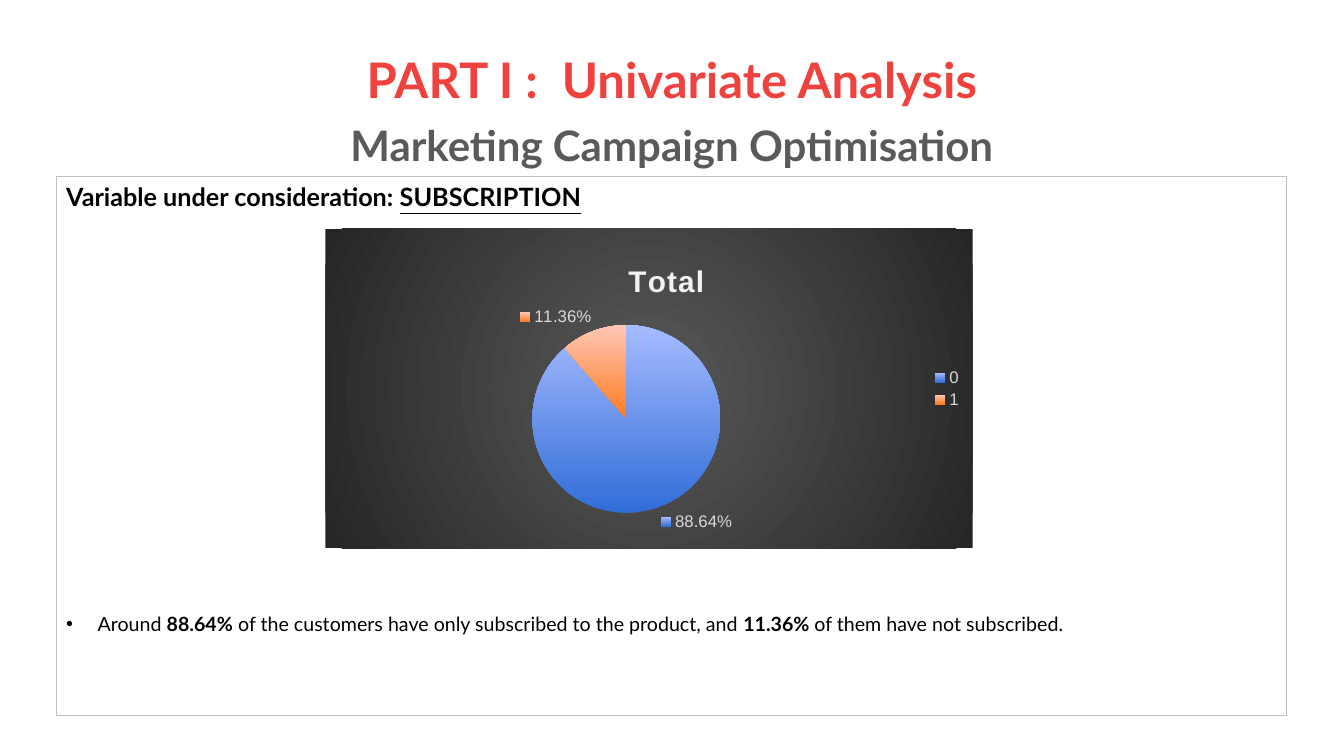
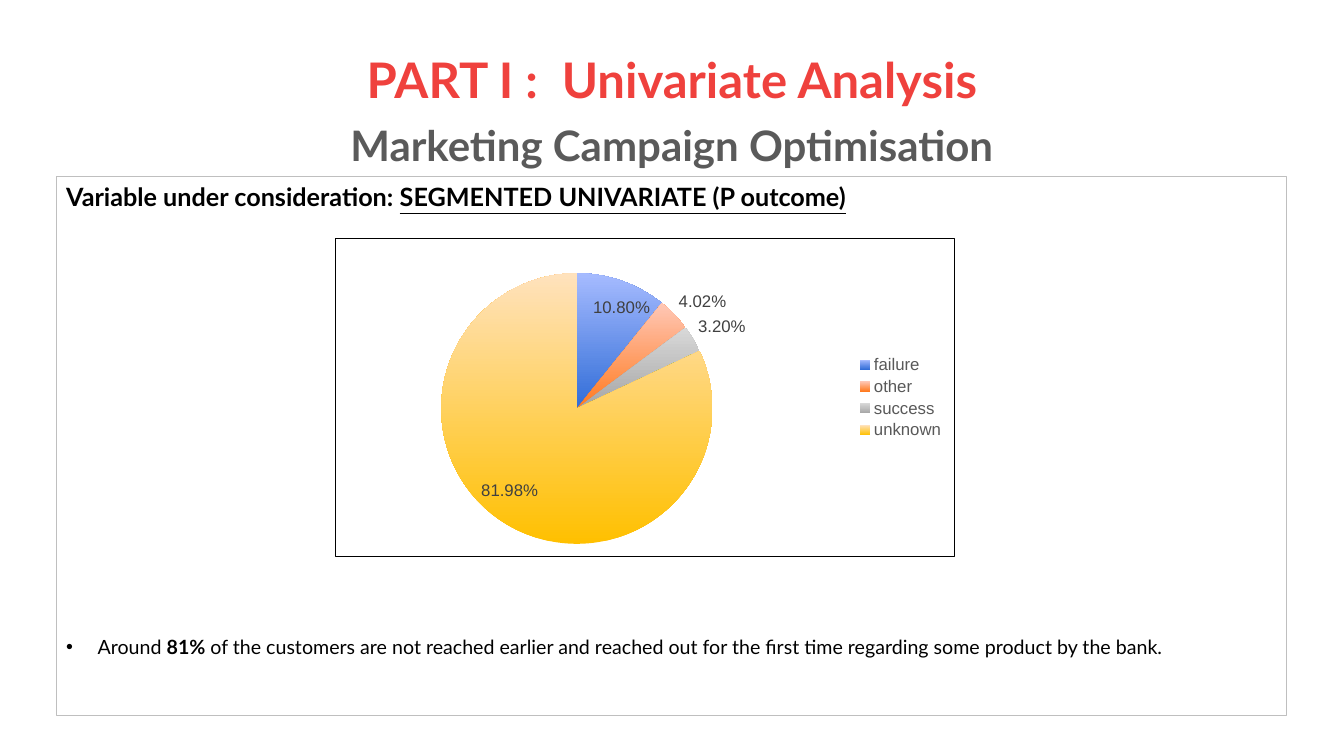
from lxml import etree
from pptx import Presentation
from pptx.chart.data import CategoryChartData
from pptx.dml.color import RGBColor
from pptx.enum.chart import XL_CHART_TYPE as ChartType
from pptx.enum.chart import XL_LABEL_POSITION as LabelPos
from pptx.enum.chart import XL_LEGEND_POSITION as LegendPos
from pptx.enum.shapes import MSO_SHAPE as Preset
from pptx.enum.text import MSO_ANCHOR as Anchor
from pptx.enum.text import MSO_AUTO_SIZE as AutoSize
from pptx.enum.text import PP_ALIGN as Align
from pptx.oxml import parse_xml
from pptx.oxml.ns import nsdecls, qn
from pptx.util import Cm, Pt

TEXT_FONT, CHART_FONT = "Lato", "Arial"
BLACK, PANEL_LINE = "000000", "BFBFBF"
TITLE_BOX = [Cm(v) for v in (2.33, 1.02, 29.21, 3.68)]
PANEL_BOX = [Cm(v) for v in (1.42, 4.45, 31.01, 13.59)]
TITLE_LINES = [  # text, size, colour, space before
    ("PART I :  Univariate Analysis", 35, "EF413D", 0),
    ("Marketing Campaign Optimisation", 30, "5A5A5A", 11),
]
HEADING = "Variable under consideration: "
BULLET_INDENT = Cm(0.79)
SLICE_GRADIENTS = [("316DD7", "A6BBFF"), ("FF7A1F", "FFC7B6"),
                   ("A5A5A5", "D8D8D8"), ("FFC000", "FFE2BD")]

SLIDES = [
    {
        "variable": "SUBSCRIPTION",
        "finding": [  # text, bold
            ("Around ", False), ("88.64%", True),
            (" of the customers have only subscribed to the product, and ", False),
            ("11.36% ", True), ("of them have not subscribed.", False)],
        "finding_gap": 286,
        "chart_box": (8.2, 5.77, 16.31, 8.05),
        "series": "Total",
        "shares": {"0": 0.8864, "1": 0.1136},
        "title": "Total",
        "pie_area": (0.32, 0.3, 0.29, 0.59),
        "background": ("595959", "262626"),
        "legend_color": "D9D9D9",
        "label_color": "D9D9D9",
        "label_position": LabelPos.OUTSIDE_END,
        "label_keys": True,
    },
    {
        "variable": "SEGMENTED UNIVARIATE (P outcome)",
        "finding": [
            ("Around ", False), ("81% ", True),
            ("of the customers are not reached earlier and reached out for the "
             "first time regarding some product by the bank.", False)],
        "finding_gap": 302,
        "chart_box": (8.43, 5.99, 15.65, 8.05),
        "series": "Series 1",
        "shares": {"failure": 0.108, "other": 0.0402,
                   "success": 0.032, "unknown": 0.8198},
        "title": None,
        "pie_area": (0.17, 0.11, 0.44, 0.85),
        "background": None,
        "legend_color": "595959",
        "label_color": "404040",
        "label_position": LabelPos.BEST_FIT,
        "label_keys": False,
    },
]


def rgb(hex_color):
    return RGBColor.from_string(hex_color)


def style(font, size, color, bold=False, name=TEXT_FONT, underline=False):
    font.name, font.size = name, Pt(size)
    font.bold, font.underline = bold, underline
    font.color.rgb = rgb(color)


def add_run(paragraph, text, size, **options):
    run = paragraph.add_run()
    run.text = text
    style(run.font, size, BLACK, **options)


def place(shape, box):
    shape.left, shape.top, shape.width, shape.height = box


def add_title(slide):
    title = slide.shapes.title
    place(title, TITLE_BOX)
    frame = title.text_frame
    frame.auto_size = AutoSize.NONE
    frame.vertical_anchor = Anchor.MIDDLE
    frame.text = "\n".join(line[0] for line in TITLE_LINES)
    for paragraph, (_, size, color, gap) in zip(frame.paragraphs, TITLE_LINES):
        paragraph.alignment = Align.CENTER
        paragraph.line_spacing = 0.9
        paragraph.space_before = Pt(gap)
        style(paragraph.runs[0].font, size, color, bold=True)


def add_bullet(paragraph):
    props = paragraph._p.get_or_add_pPr()
    props.set("marL", str(BULLET_INDENT))
    props.set("indent", str(-BULLET_INDENT))
    props.append(parse_xml(f'<a:buFont {nsdecls("a")} typeface="Arial"/>'))
    props.append(parse_xml(f'<a:buChar {nsdecls("a")} char="•"/>'))


def add_panel(slide, content):
    panel = slide.shapes.add_shape(Preset.RECTANGLE, *PANEL_BOX)
    panel.shadow.inherit = False
    panel.fill.background()
    panel.line.color.rgb = rgb(PANEL_LINE)
    panel.line.width = Pt(0.75)
    frame = panel.text_frame
    frame.word_wrap = True
    frame.vertical_anchor = Anchor.TOP

    heading = frame.paragraphs[0]
    add_run(heading, HEADING, 18, bold=True)
    add_run(heading, content["variable"], 18, bold=True, underline=True)

    finding = frame.add_paragraph()
    finding.space_before = Pt(content["finding_gap"])
    for text, bold in content["finding"]:
        add_run(finding, text, 14, bold=bold)
    add_bullet(finding)
    for paragraph in frame.paragraphs:
        paragraph.alignment = Align.LEFT


def set_layout(element, **fractions):
    """Fix a chart part's place, as fractions of the chart's size."""
    layout = element.find(qn("c:layout"))
    if layout is None:
        layout = etree.Element(qn("c:layout"))
        text = element.find(qn("c:tx"))
        if text is None:
            element.insert(0, layout)
        else:
            text.addnext(layout)
    manual = etree.SubElement(layout, qn("c:manualLayout"))
    settings = {"xMode": "edge", "yMode": "edge", **fractions}
    if "w" in fractions:
        settings = {"layoutTarget": "inner", **settings}
    for tag, value in settings.items():
        etree.SubElement(manual, qn(f"c:{tag}")).set("val", str(value))


def set_chart_area(chart, background):
    """Radial fill when two colours are given, otherwise a black frame."""
    if background:
        center, edge = background
        look = (f'<a:gradFill><a:gsLst>'
                f'<a:gs pos="0"><a:srgbClr val="{center}"/></a:gs>'
                f'<a:gs pos="100000"><a:srgbClr val="{edge}"/></a:gs></a:gsLst>'
                f'<a:path path="circle"><a:fillToRect l="50000" t="50000" '
                f'r="50000" b="50000"/></a:path></a:gradFill>'
                f'<a:ln><a:noFill/></a:ln>')
    else:
        look = (f'<a:noFill/><a:ln w="{Pt(0.75)}"><a:solidFill>'
                f'<a:srgbClr val="{BLACK}"/></a:solidFill></a:ln>')
    area = parse_xml(f'<c:spPr {nsdecls("c", "a")}>{look}</c:spPr>')
    chart._chartSpace.find(qn("c:chart")).addnext(area)


def add_chart_title(chart, text):
    chart.has_title = True
    title = chart.chart_title
    title.include_in_layout = False
    title.text_frame.text = text
    run = title.text_frame.paragraphs[0].runs[0]
    style(run.font, 21.3, "F2F2F2", bold=True, name=CHART_FONT)
    run._r.get_or_add_rPr().set("spc", "100")
    set_layout(title._element, x=0.46, y=0.09)


def add_pie(slide, content):
    data = CategoryChartData(number_format="0.00%")
    data.categories = list(content["shares"])
    data.add_series(content["series"], list(content["shares"].values()))
    box = [Cm(v) for v in content["chart_box"]]
    chart = slide.shapes.add_chart(ChartType.PIE, *box, data).chart
    style(chart.font, 10, BLACK, name=CHART_FONT)
    set_chart_area(chart, content["background"])
    if content["title"]:
        add_chart_title(chart, content["title"])
    else:
        chart.has_title = False

    chart.has_legend = True
    chart.legend.position = LegendPos.RIGHT
    chart.legend.include_in_layout = False
    style(chart.legend.font, 12, content["legend_color"], name=CHART_FONT)

    plot = chart.plots[0]
    plot.vary_by_categories = True
    plot_area = chart._chartSpace.find(f'.//{qn("c:plotArea")}')
    set_layout(plot_area, **dict(zip("xywh", content["pie_area"])))

    shares = plot.series[0]
    for index, colors in enumerate(SLICE_GRADIENTS[:len(content["shares"])]):
        slice_format = shares.points[index].format
        slice_format.line.fill.background()
        fill = slice_format.fill
        fill.gradient()
        fill.gradient_angle = 90
        for stop, color, position in zip(fill.gradient_stops, colors, (0, 1)):
            stop.color.rgb = rgb(color)
            stop.position = position

    labels = shares.data_labels
    labels.show_value = True
    labels.show_legend_key = content["label_keys"]
    labels.number_format = "0.00%"
    labels.number_format_is_linked = False
    labels.position = content["label_position"]
    style(labels.font, 12, content["label_color"], name=CHART_FONT)


def main():
    deck = Presentation()
    deck.slide_width, deck.slide_height = Cm(33.87), Cm(19.05)
    title_only = deck.slide_layouts[5]
    for content in SLIDES:
        slide = deck.slides.add_slide(title_only)
        add_title(slide)
        add_panel(slide, content)
        add_pie(slide, content)
    deck.save("out.pptx")


if __name__ == "__main__":
    main()
